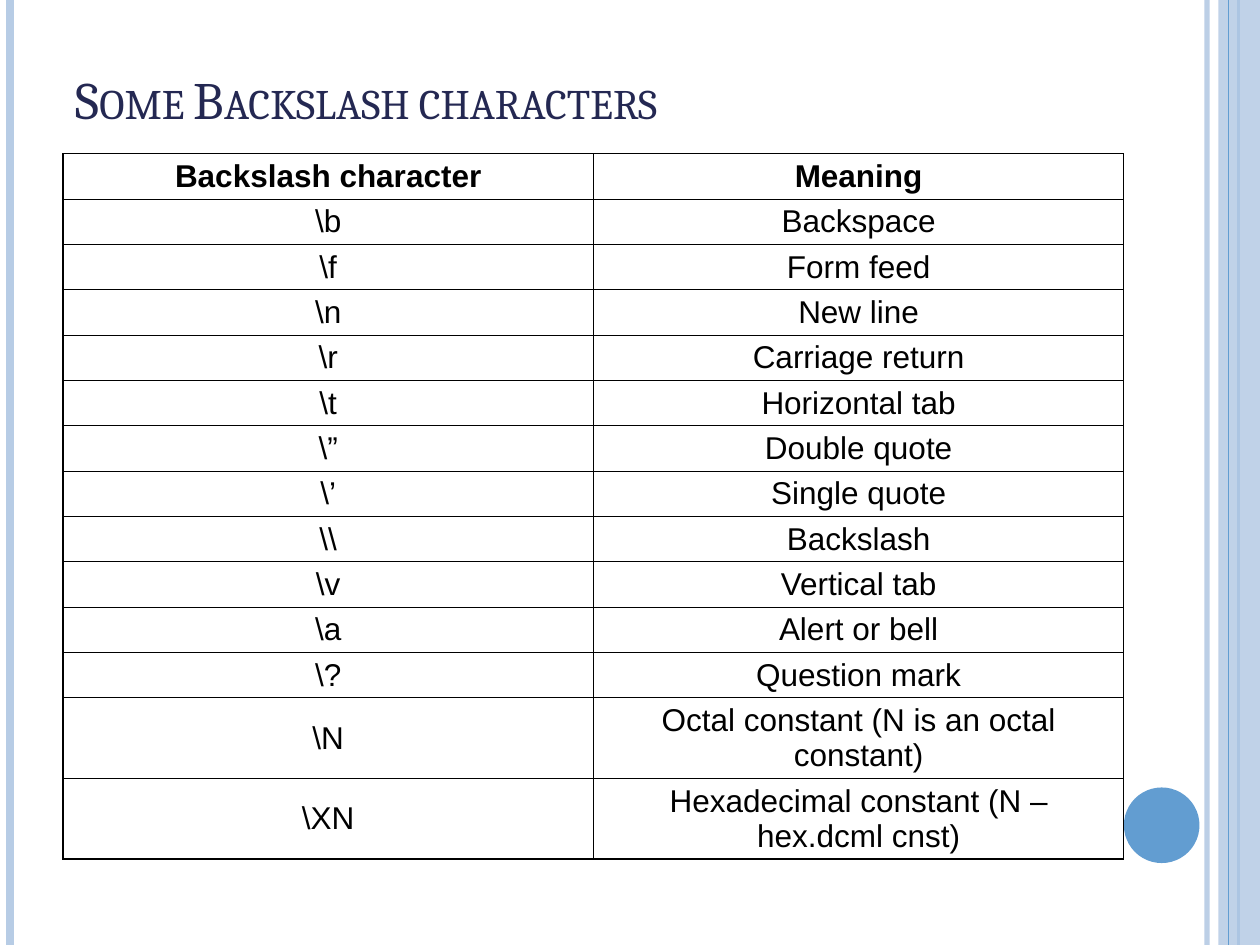
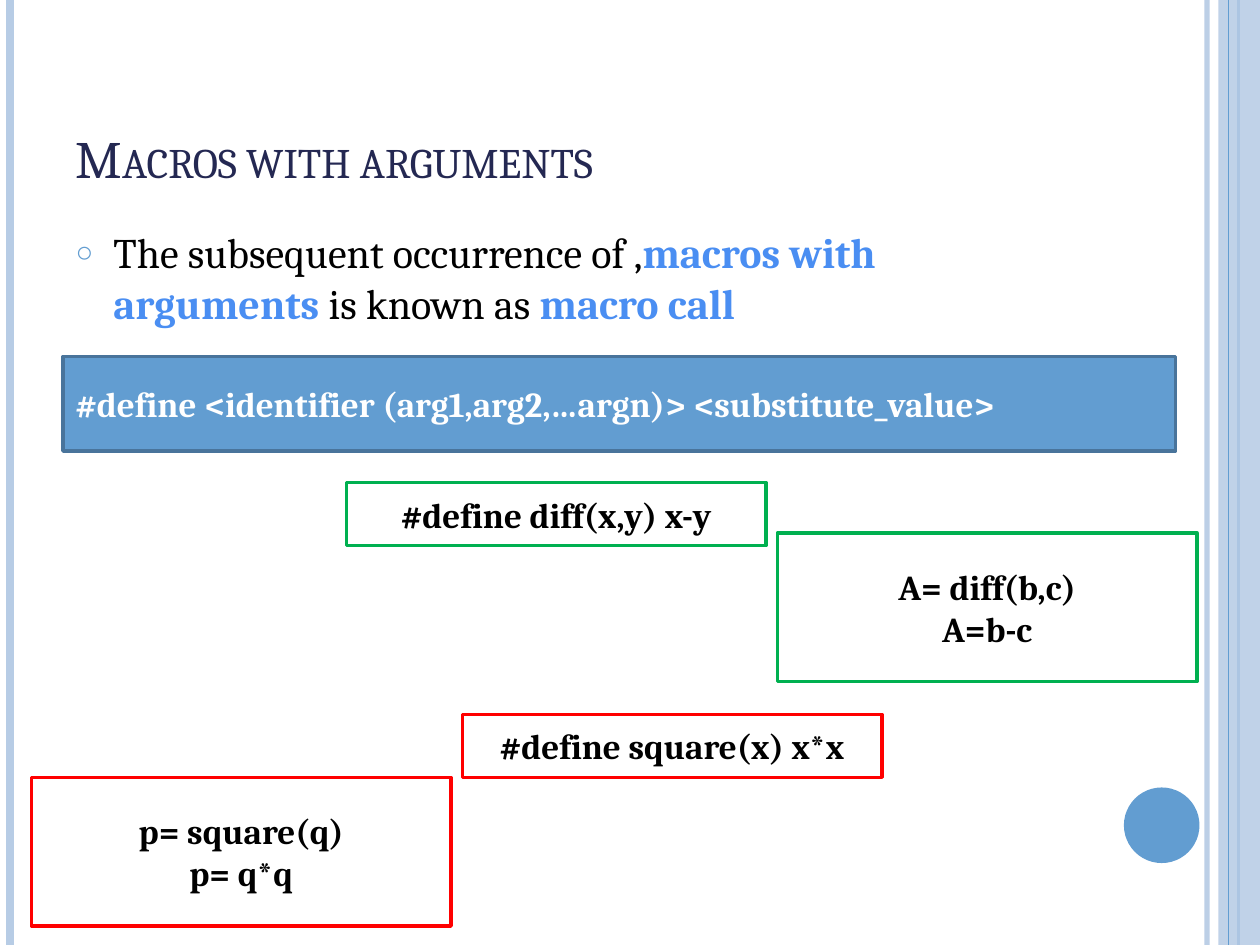
from lxml import etree
from pptx import Presentation
from pptx import util as u
from pptx.dml.color import RGBColor
from pptx.enum import shapes as sh, text as tx
from pptx.oxml import ns

# Content
CODES = [
    ("Backslash character", "Meaning"),
    ("\\b", "Backspace"),
    ("\\f", "Form feed"),
    ("\\n", "New line"),
    ("\\r", "Carriage return"),
    ("\\t", "Horizontal tab"),
    ("\\”", "Double quote"),
    ("\\’", "Single quote"),
    ("\\\\", "Backslash"),
    ("\\v", "Vertical tab"),
    ("\\a", "Alert or bell"),
    ("\\?", "Question mark"),
    ("\\N", "Octal constant (N is an octal constant)"),
    ("\\XN", "Hexadecimal constant (N – hex.dcml cnst)"),
]
CALL = [  # text, stressed
    ("The subsequent occurrence of ,", False),
    ("macros with arguments", True),
    (" is known as ", False),
    ("macro call", True),
]
SYNTAX = "#define <identifier (arg1,arg2,…argn)> <substitute_value>"

# Colours
NAVY = RGBColor(0x24, 0x28, 0x52)
BLUE = RGBColor(0x62, 0x9D, 0xD1)
EDGE = RGBColor(0x49, 0x74, 0x9B)
PALE = RGBColor(0xB7, 0xCC, 0xE5)
STRESS = RGBColor(0x4A, 0x8E, 0xF2)
GREEN = RGBColor(0x00, 0xB0, 0x50)
RED = RGBColor(0xFF, 0x00, 0x00)
BLACK = RGBColor(0, 0, 0)
WHITE = RGBColor(255, 255, 255)

# Layout and formats, in inches and points
WIDE, HIGH = 10, 7.5
LEFT, SPAN = 0.5, 8.17
BOX, LOW, TALL = 3.33, 0.5, 1.18
RULES = [  # x, colour, weight, opacity
    (9.58, PALE, 3, 93),
    (0.08, PALE, 4.5, 100),
    (9.83, BLUE, 1.5, 100),
]
BOXES = [  # lines, left, top, height, edge
    (["#define diff(x,y) x-y"], 2.75, 3.83, LOW, GREEN),
    (["A= diff(b,c)", "A=b-c"], 6.17, 4.23, TALL, GREEN),
    (["#define square(x) x*x"], 3.67, 5.67, LOW, RED),
    (["p= square(q)", "p= q*q"], 0.25, 6.17, TALL, RED),
]
HEAD = {"name": "Cambria", "size": u.Pt(30), "bold": False}
BODY = {"name": "Cambria", "size": u.Pt(24)}
CODE = {"name": "Cambria", "size": u.Pt(20), "bold": True}
CELL = {"name": "Arial", "size": u.Pt(18)}
MID = tx.PP_ALIGN.CENTER


def put(part, **vals):
    for key, val in vals.items():
        setattr(part, key, val)


def place(part, *box):
    put(part, **dict(zip(("left", "top", "width", "height"), map(u.Inches, box))))


def sub(node, tag, **atts):
    return etree.SubElement(node, ns.qn(tag), atts)


def write(para, words, form, tint, align=None):
    run = para.add_run()
    run.text = words
    put(run.font, **form)
    run.font.color.rgb = tint
    if align is not None:
        para.alignment = align
    return run


def fade(part, share):
    for tint in part._element.spPr.iter(ns.qn("a:srgbClr")):
        sub(tint, "a:alpha", val=str(share * 1000))


def rule(slide, x, tint, weight, share):
    line = slide.shapes.add_connector(
        sh.MSO_CONNECTOR.STRAIGHT, u.Inches(x), 0, u.Inches(x), u.Inches(HIGH))
    line.line.color.rgb = tint
    line.line.width = u.Pt(weight)
    if share < 100:
        fade(line, share)
    sub(line._element.spPr, "a:effectLst")


def shape(slide, kind, box, fill, edge=None):
    part = slide.shapes.add_shape(kind, *map(u.Inches, box))
    part.shadow.inherit = False
    part.fill.solid()
    part.fill.fore_color.rgb = fill
    if edge is None:
        part.line.fill.background()
    else:
        part.line.color.rgb = edge
        part.line.width = u.Pt(2)
    return part


def label(part, lines, tint, align):
    frame = part.text_frame
    put(frame, word_wrap=True, vertical_anchor=tx.MSO_ANCHOR.MIDDLE)
    for i, words in enumerate(lines):
        para = frame.add_paragraph() if i else frame.paragraphs[0]
        write(para, words, CODE, tint, align)


def start(deck, layout, words, top):
    """Add a slide with the shared bands and title."""
    slide = deck.slides.add_slide(deck.slide_layouts[layout])
    for spec in RULES:
        rule(slide, *spec)
    band = shape(slide, sh.MSO_SHAPE.RECTANGLE, (9.67, 0, WIDE - 9.67, HIGH), PALE)
    fade(band, 87)
    rule(slide, 9.75, BLUE, 0.75, 100)
    shape(slide, sh.MSO_SHAPE.OVAL, (8.92, 6.25, 0.6, 0.6), BLUE)

    title = slide.shapes.title
    place(title, LEFT, top, SPAN, 1.25)
    put(title.text_frame, auto_size=tx.MSO_AUTO_SIZE.NONE,
        vertical_anchor=tx.MSO_ANCHOR.BOTTOM)
    run = write(title.text_frame.paragraphs[0], words, HEAD, NAVY, tx.PP_ALIGN.LEFT)
    run.font._element.set("cap", "small")
    return slide


def border(cell):
    props = cell._tc.get_or_add_tcPr()
    for i, side in enumerate("LRTB"):
        line = sub(props, "a:ln" + side, w=str(u.Pt(0.75)))
        sub(sub(line, "a:solidFill"), "a:srgbClr", val=str(BLACK))
        props.insert(i, line)


def codes(deck):
    slide = start(deck, 5, "Some Backslash characters", -0.17)
    tall = [0.53 if len(note) > 20 else 0.3 for _, note in CODES]
    grid = slide.shapes.add_table(
        len(CODES), 2, *map(u.Inches, (LEFT, 1.22, 8.42, sum(tall)))).table
    put(grid, first_row=False, horz_banding=False)
    for r, pair in enumerate(CODES):
        grid.rows[r].height = u.Inches(tall[r])
        for c, words in enumerate(pair):
            cell = grid.cell(r, c)
            put(cell, vertical_anchor=tx.MSO_ANCHOR.MIDDLE,
                margin_left=u.Inches(0.08), margin_right=u.Inches(0.08),
                margin_top=u.Inches(0.04), margin_bottom=u.Inches(0.04))
            cell.fill.background()
            border(cell)
            form = {**CELL, "bold": r == 0}
            write(cell.text_frame.paragraphs[0], words, form, BLACK, MID)


def macros(deck):
    slide = start(deck, 1, "Macros with arguments", 0.3)

    # Bulleted sentence
    body = slide.placeholders[1]
    place(body, LEFT, 1.75, SPAN, 5.33)
    body.text_frame.auto_size = tx.MSO_AUTO_SIZE.NONE
    para = body.text_frame.paragraphs[0]
    para.space_before = u.Pt(6)
    props = para._p.get_or_add_pPr()
    put_in = u.Inches(0.3)
    props.set("marL", str(put_in))
    props.set("indent", str(-put_in))
    sub(sub(props, "a:buClr"), "a:srgbClr", val=str(BLUE))
    sub(props, "a:buSzPct", val="70000")
    sub(props, "a:buChar", char="○")
    for words, bold in CALL:
        write(para, words, {**BODY, "bold": bold}, STRESS if bold else BLACK)

    # Syntax bar and examples
    rect = sh.MSO_SHAPE.RECTANGLE
    bar = shape(slide, rect, (LEFT, 2.83, 8.83, 0.75), BLUE, EDGE)
    label(bar, [SYNTAX], WHITE, tx.PP_ALIGN.LEFT)
    for lines, x, y, high, edge in BOXES:
        box = shape(slide, rect, (x, y, BOX, high), WHITE, edge)
        label(box, lines, BLACK, MID)


def main():
    deck = Presentation()
    put(deck, slide_width=u.Inches(WIDE), slide_height=u.Inches(HIGH))
    codes(deck)
    macros(deck)
    deck.save("out.pptx")


if __name__ == "__main__":
    main()
